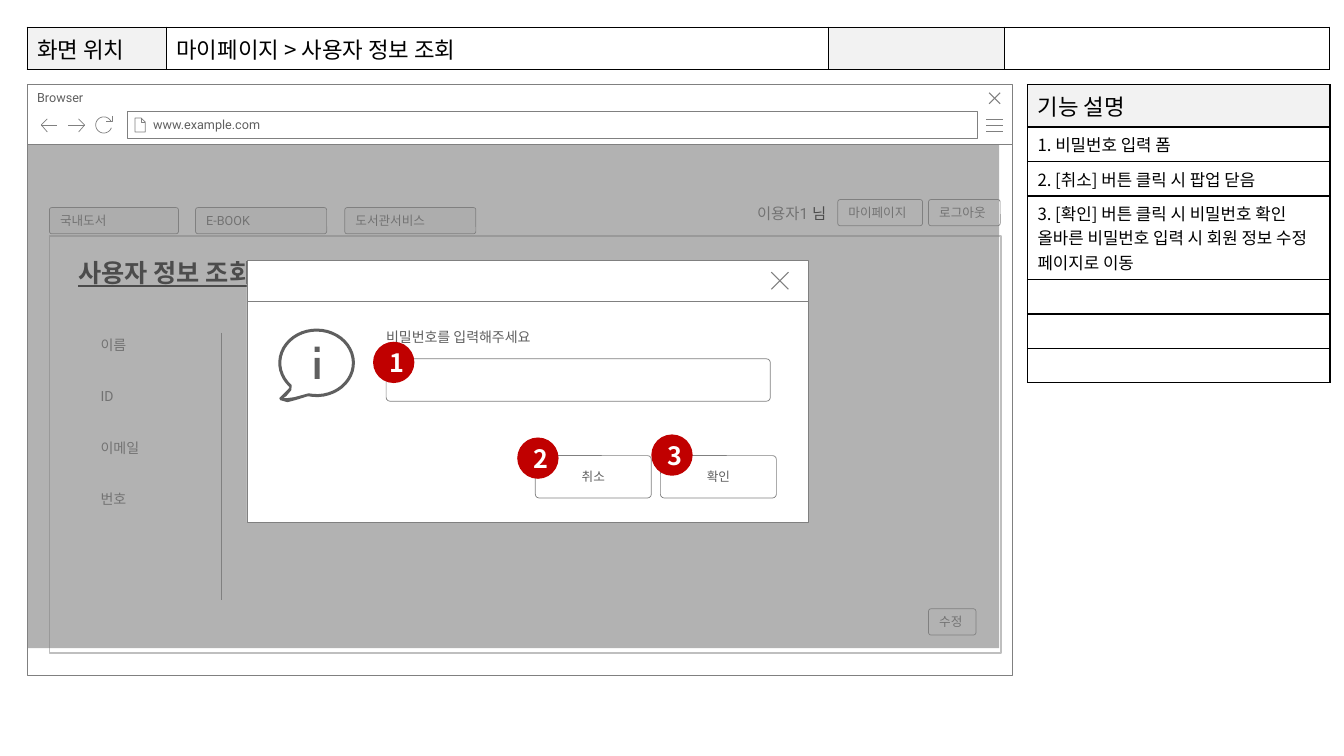
from math import cos, radians, sin
from lxml.etree import SubElement
from pptx import Presentation
from pptx.dml.color import RGBColor
from pptx.enum.shapes import MSO_CONNECTOR, MSO_SHAPE
from pptx.enum.text import MSO_ANCHOR, MSO_AUTO_SIZE, PP_ALIGN
from pptx.oxml.ns import qn
from pptx.util import Inches, Pt

WHITE = RGBColor(0xFF, 0xFF, 0xFF)
BLACK = RGBColor(0, 0, 0)
PALE = RGBColor(0xF2, 0xF2, 0xF2)
SILVER = RGBColor(0xBF, 0xBF, 0xBF)
GRAY = RGBColor(0x80, 0x80, 0x80)
INK = RGBColor(0x5F, 0x5F, 0x5F)
RED = RGBColor(0xC0, 0, 0)
KOREAN, LATIN = "Noto Sans CJK KR", "Roboto"


def arc(cx, cy, rx, ry, start, end, step=8):
    return [(cx + rx * cos(radians(a)), cy + ry * sin(radians(a)))
            for a in range(start, end + 1, step)]


class Wireframe:
    def __init__(self, slide):
        self.shapes = slide.shapes

    def style_run(self, run, size, font=LATIN, color=INK, bold=False, underline=False):
        run.font.size, run.font.name = Pt(size), font
        run.font.color.rgb = color
        if bold:
            run.font.bold = True
        if underline:
            run.font.underline = True
        SubElement(run.font._element, qn("a:ea")).set("typeface", KOREAN)

    def paint(self, shape, fill, line, width):
        shape.shadow.inherit = False
        if fill is None:
            shape.fill.background()
        else:
            shape.fill.solid()
            shape.fill.fore_color.rgb = fill
        if line is None:
            shape.line.fill.background()
        else:
            shape.line.color.rgb = line
            shape.line.width = Pt(width)

    def set_text(self, shape, text, size, align=PP_ALIGN.LEFT, anchor=MSO_ANCHOR.MIDDLE,
                 grow=False, wrap=True, **style):
        frame = shape.text_frame
        frame.word_wrap = wrap
        frame.vertical_anchor = anchor
        if grow:
            frame.auto_size = MSO_AUTO_SIZE.SHAPE_TO_FIT_TEXT
        paragraph = frame.paragraphs[0]
        paragraph.text = text
        paragraph.alignment = align
        for run in paragraph.runs:
            self.style_run(run, size, **style)
        return frame

    def box(self, x, y, w, h, fill=WHITE, line=GRAY, width=0.5, kind=MSO_SHAPE.RECTANGLE):
        shape = self.shapes.add_shape(kind, Inches(x), Inches(y), Inches(w), Inches(h))
        self.paint(shape, fill, line, width)
        return shape

    def button(self, x, y, w, h=0.26, text="", fill=WHITE, **style):
        shape = self.box(x, y, w, h, fill, kind=MSO_SHAPE.ROUNDED_RECTANGLE)
        shape.adjustments[0] = 0.088
        if text:
            self.set_text(shape, text, 9, **style)

    def label(self, x, y, w, h, text, size, **style):
        textbox = self.shapes.add_textbox(Inches(x), Inches(y), Inches(w), Inches(h))
        return self.set_text(textbox, text, size, anchor=MSO_ANCHOR.TOP, **style)

    def icon(self, *strokes, closed=False, fill=None, line=GRAY, width=0.5):
        outlines = [[(Inches(x), Inches(y)) for x, y in stroke] for stroke in strokes]
        builder = self.shapes.build_freeform(*outlines[0][0], scale=1.0)
        for index, points in enumerate(outlines):
            if index:
                builder.move_to(*points[0])
            builder.add_line_segments(points[1:], close=closed)
        self.paint(builder.convert_to_shape(), fill, line, width)

    def cross(self, x, y, w, h):
        self.icon([(x + w, y), (x, y + h)], [(x, y), (x + w, y + h)], width=0.75)

    def rule(self, x1, y1, x2, y2):
        line = self.shapes.add_connector(MSO_CONNECTOR.STRAIGHT, Inches(x1), Inches(y1),
                                         Inches(x2), Inches(y2))
        line.line.color.rgb, line.line.width = GRAY, Pt(0.5)
        SubElement(line._element.spPr, qn("a:effectLst"))

    def marker(self, x, y, number):
        circle = self.box(x, y, 0.41, 0.41, RED, None, kind=MSO_SHAPE.OVAL)
        self.set_text(circle, number, 18, align=PP_ALIGN.CENTER, font=KOREAN,
                      color=WHITE, bold=True)

    def border(self, cell):
        properties = cell._tc.get_or_add_tcPr()
        for index, side in enumerate(("a:lnL", "a:lnR", "a:lnT", "a:lnB")):
            edge = properties.makeelement(qn(side), {"w": str(Pt(1))})
            color = SubElement(SubElement(edge, qn("a:solidFill")), qn("a:srgbClr"))
            color.set("val", str(BLACK))
            properties.insert(index, edge)

    def table(self, x, y, widths, heights, rows, shaded):
        """Rows hold (text, size) pairs; shaded holds (row, column) pairs."""
        table = self.shapes.add_table(len(heights), len(widths), Inches(x), Inches(y),
                                      Inches(sum(widths)), Inches(sum(heights))).table
        table.first_row = table.horz_banding = False
        for column, width in zip(table.columns, widths):
            column.width = Inches(width)
        for r, (height, row) in enumerate(zip(heights, rows)):
            table.rows[r].height = Inches(height)
            for c, (text, size) in enumerate(row):
                cell = table.cell(r, c)
                cell.fill.solid()
                cell.fill.fore_color.rgb = PALE if (r, c) in shaded else WHITE
                self.border(cell)
                paragraph = cell.text_frame.paragraphs[0]
                if text:
                    paragraph.text = text
                    for run in paragraph.runs:
                        self.style_run(run, size, KOREAN, BLACK)
                else:
                    end = SubElement(paragraph._p, qn("a:endParaRPr"))
                    end.set("sz", str(size * 100))


def draw_browser(page):
    page.box(0.27, 1.43, 9.77, 5.27)
    title_bar = page.box(0.27, 0.84, 9.77, 0.59)
    page.set_text(title_bar, "Browser", 9, anchor=MSO_ANCHOR.TOP)
    page.icon(*[[(9.78, y), (9.95, y)] for y in (1.3, 1.24, 1.18)])
    page.cross(9.81, 0.92, 0.11, 0.11)
    address = page.box(1.26, 1.11, 8.43, 0.26)
    page.set_text(address, "www.example.com", 9).margin_left = Inches(0.26)
    # Document, back, forward and reload icons
    page.icon([(1.4, 1.17), (1.4, 1.21), (1.44, 1.21)],
              [(1.4, 1.17), (1.34, 1.17), (1.34, 1.31), (1.44, 1.31), (1.44, 1.21), (1.4, 1.17)])
    page.icon([(0.47, 1.31), (0.41, 1.24), (0.47, 1.18)], [(0.41, 1.24), (0.57, 1.24)])
    page.icon([(0.78, 1.18), (0.84, 1.24), (0.78, 1.31)], [(0.84, 1.24), (0.67, 1.24)])
    page.icon([(1.11, 1.15), (1.11, 1.2), (1.05, 1.2)], arc(1.03, 1.24, 0.08, 0.08, 20, 332))


def draw_tables(page):
    notes = ["1. 비밀번호 입력 폼", "2. [취소] 버튼 클릭 시 팝업 닫음",
             "3. [확인] 버튼 클릭 시 비밀번호 확인\n올바른 비밀번호 입력 시 회원 정보 수정 페이지로 이동",
             "", "", ""]
    page.table(10.19, 0.84, [3], [0.42, 0.34, 0.34, 0.83, 0.34, 0.34, 0.34],
               [[("기능 설명", 16)]] + [[(note, 12)] for note in notes], {(0, 0)})
    location = ["화면 위치", "마이페이지 > 사용자 정보 조회", "", ""]
    page.table(0.27, 0.27, [1.38, 6.57, 1.74, 3.23], [0.41],
               [[(text, 16) for text in location]], {(0, 0), (0, 2)})


def draw_user_page(page):
    for x, width, tab in ((0.49, 1.28, "국내도서"), (1.94, 1.3, "E-BOOK"), (3.42, 1.3, "도서관서비스")):
        page.button(x, 2.06, width, text=tab, fill=PALE, grow=True)
    for x, y, width, action in ((8.31, 1.98, 0.84, "마이페이지"), (9.21, 1.98, 0.71, "로그아웃"),
                                (9.21, 6.04, 0.47, "수정")):
        page.button(x, y, width, text=action, grow=True, wrap=False)
    greeting = page.label(7.41, 1.98, 0.99, 0.29, "이용자1 ", 11, grow=True)
    honorific = greeting.paragraphs[0].add_run()
    honorific.text = "님"
    page.style_run(honorific, 11, KOREAN, BLACK)
    page.box(0.49, 2.34, 9.44, 4.14, None, SILVER, 1)
    page.label(0.68, 2.5, 2.15, 0.4, "사용자 정보 조회", 18, grow=True, wrap=False,
               font=KOREAN, color=BLACK, bold=True, underline=True)
    page.rule(2.2, 3.3, 2.2, 5.95)
    for index, field in enumerate(("이름", "ID", "이메일", "번호")):
        page.label(0.9, 3.29 + 0.51 * index, 0.84, 0.27, field, 10, grow=True)
    # Translucent veil over the page
    veil = page.box(0.27, 1.43, 9.64, 5, GRAY, None)
    tint = veil._element.spPr.find(qn("a:solidFill"))[0]
    SubElement(tint, qn("a:alpha")).set("val", "60000")


def draw_popup(page):
    page.box(2.45, 2.99, 5.57, 2.19)
    prompt = page.label(3.75, 3.22, 3.97, 1.19, "비밀번호를 입력해주세요", 10)
    prompt.margin_left = prompt.margin_right = Inches(0.08)
    prompt.margin_top = prompt.margin_bottom = Inches(0.04)
    page.box(2.45, 2.58, 5.57, 0.41)
    page.cross(7.65, 2.7, 0.17, 0.17)
    for x, choice in ((6.55, "확인"), (5.31, "취소")):
        page.button(x, 4.52, 1.15, 0.42, choice, align=PP_ALIGN.CENTER)
    # Information bubble: outer and inner outline, then the letter i
    outer = arc(3.14, 3.6, 0.38, 0.34, 135, 463) + [
        (2.93, 3.97), (2.85, 3.99), (2.78, 3.97), (2.77, 3.95), (2.82, 3.9), (2.86, 3.86)]
    inner = arc(3.14, 3.6, 0.35, 0.31, 135, 463) + [
        (2.92, 3.94), (2.85, 3.95), (2.81, 3.95), (2.84, 3.93), (2.89, 3.87)]
    letter = [[(3.12, top), (3.17, top), (3.17, bottom), (3.12, bottom)]
              for top, bottom in ((3.44, 3.49), (3.55, 3.76))]
    page.icon(outer, inner, *letter, closed=True, fill=INK, line=None)
    page.button(3.83, 3.56, 3.81, 0.42)
    for x, y, number in ((3.7, 3.39, "1"), (5.13, 4.34, "2"), (6.46, 4.31, "3")):
        page.marker(x, y, number)


def main():
    deck = Presentation()
    deck.slide_width, deck.slide_height = Inches(13.33), Inches(7.5)
    page = Wireframe(deck.slides.add_slide(deck.slide_layouts[6]))
    draw_browser(page)
    draw_tables(page)
    draw_user_page(page)
    draw_popup(page)
    deck.save("out.pptx")


if __name__ == "__main__":
    main()
